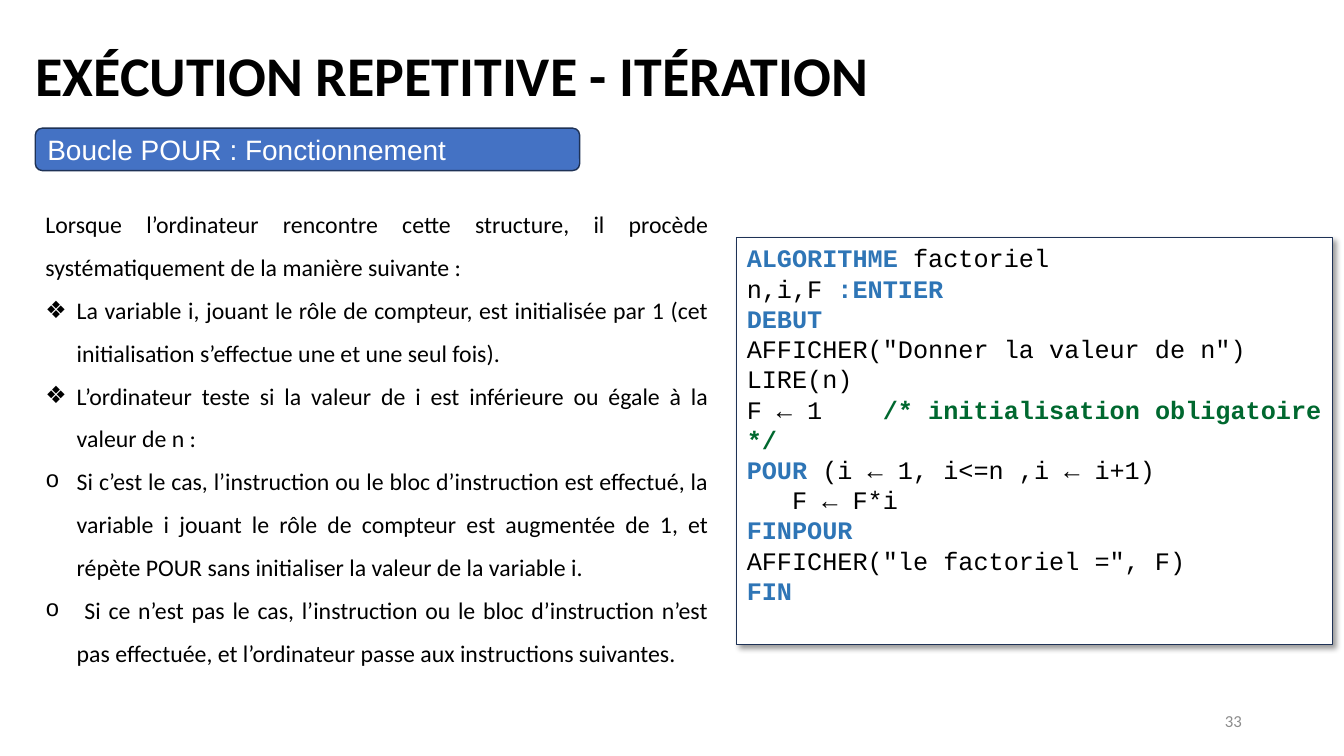
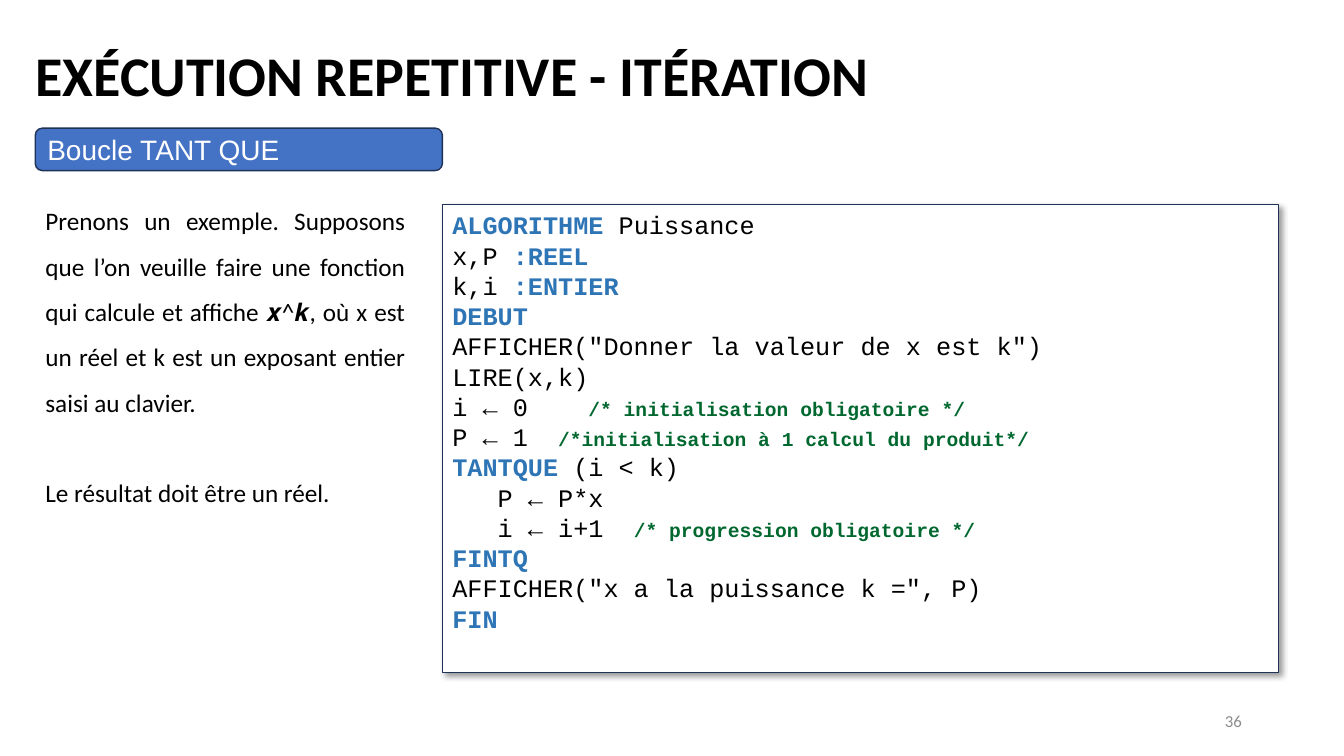
import pptx
import pptx.dml.color
import pptx.enum.shapes
import pptx.enum.text
import pptx.oxml.ns
import pptx.util
from lxml import etree

Cm = pptx.util.Cm
Pt = pptx.util.Pt
qn = pptx.oxml.ns.qn
Align = pptx.enum.text.PP_ALIGN
Anchor = pptx.enum.text.MSO_ANCHOR
Shape = pptx.enum.shapes.MSO_SHAPE

# Shared look
BLACK, WHITE, GREY = "000000", "FFFFFF", "8C8C8C"
BLUE, NAVY = "4472C4", "1E3256"
KEY, NOTE = "2E75B6", "00682F"
TITLE = "EXÉCUTION REPETITIVE - ITÉRATION"
LEFT = Cm(0.89)
INDENT = Cm(0.79)
BULLETS = {"❖": "Arial", "o": "Courier New"}


def tint(hue):
    return pptx.dml.color.RGBColor.from_string(hue)


def style(para, face, size, hue, bold=False):
    font = para.font
    font.name, font.size, font.bold = face, Pt(size), bold
    font.color.rgb = tint(hue)


# Body items: (bullet, text, space before); code lines: (text, colour) pieces
pages = [
    {
        "number": "33",
        "band": ("Boucle POUR : Fonctionnement", 13.72),
        "body": (4.8, 17.22, 12.14),
        "size": 17,
        "items": [
            ("", "Lorsque l’ordinateur rencontre cette structure, il procède "
                 "systématiquement de la manière suivante :", 0),
            ("❖", "La variable i, jouant le rôle de compteur, est initialisée par 1 "
                  "(cet initialisation s’effectue une et une seul fois).", 0),
            ("❖", "L’ordinateur teste si la valeur de i est inférieure ou égale à la "
                  "valeur de n :", 0),
            ("o", "Si c’est le cas, l’instruction ou le bloc d’instruction est effectué, "
                  "la variable i jouant le rôle de compteur est augmentée de 1, et "
                  "répète POUR sans initialiser la valeur de la variable i.", 0),
            ("o", " Si ce n’est pas le cas, l’instruction ou le bloc d’instruction n’est "
                  "pas effectuée, et l’ordinateur passe aux instructions suivantes.", 0),
        ],
        "box": (18.57, 5.99, 15.01, 10.26),
        "note": 18,
        "code": [
            [("ALGORITHME ", KEY), ("factoriel", BLACK)],
            [("n,i,F ", BLACK), (":ENTIER", KEY)],
            [("DEBUT", KEY)],
            [('AFFICHER("Donner la valeur de n")', BLACK)],
            [("LIRE(n)", BLACK)],
            [("F ← 1    ", BLACK), ("/* initialisation obligatoire */", NOTE)],
            [("POUR", KEY), (" (i ← 1, i<=n ,i ← i+1)", BLACK)],
            [("   F ← F*i", BLACK)],
            [("FINPOUR", KEY)],
            [('AFFICHER("le factoriel =", F)', BLACK)],
            [("FIN", KEY)],
        ],
    },
    {
        "number": "36",
        "band": ("Boucle TANT QUE", 10.26),
        "body": (4.67, 9.58, 8.2),
        "size": 18,
        "items": [
            ("", "Prenons un exemple. Supposons que l’on veuille faire une fonction "
                 "qui calcule et affiche 𝒙^𝒌, où x est un réel et k est un exposant "
                 "entier saisi au clavier.", 0),
            ("", "Le résultat doit être un réel.", 32.4),
        ],
        "box": (11.15, 5.16, 21.06, 11.79),
        "note": 14,
        "code": [
            [("ALGORITHME ", KEY), ("Puissance", BLACK)],
            [("x,P ", BLACK), (":REEL", KEY)],
            [("k,i ", BLACK), (":ENTIER", KEY)],
            [("DEBUT", KEY)],
            [('AFFICHER("Donner la valeur de x est k")', BLACK)],
            [("LIRE(x,k)", BLACK)],
            [("i ← 0    ", BLACK), ("/* initialisation obligatoire */", NOTE)],
            [("P ← 1  ", BLACK), ("/*initialisation à 1 calcul du produit*/", NOTE)],
            [("TANTQUE", KEY), (" (i < k)", BLACK)],
            [("   P ← P*x", BLACK)],
            [("   i ← i+1  ", BLACK), ("/* progression obligatoire */", NOTE)],
            [("FINTQ", KEY)],
            [('AFFICHER("x a la puissance k =", P)', BLACK)],
            [("FIN", KEY)],
        ],
    },
]

deck = pptx.Presentation()
deck.slide_width, deck.slide_height = Cm(33.87), Cm(19.05)

for page in pages:
    slide = deck.slides.add_slide(deck.slide_layouts[1])
    shapes = slide.shapes

    # Title
    title = shapes.title
    title.left, title.top, title.width, title.height = Cm(0.64), Cm(0.89), Cm(29.21), Cm(1.96)
    frame = title.text_frame
    frame.text = TITLE
    frame.vertical_anchor = Anchor.TOP
    frame.auto_size = pptx.enum.text.MSO_AUTO_SIZE.NONE
    frame.paragraphs[0].alignment = Align.LEFT
    style(frame.paragraphs[0], "Calibri", 40, BLACK, True)

    # Subtitle band
    text, width = page["band"]
    band = shapes.add_shape(Shape.ROUNDED_RECTANGLE, LEFT, Cm(3.23), Cm(width), Cm(1.07))
    band.shadow.inherit = False
    band.fill.solid()
    band.fill.fore_color.rgb = tint(BLUE)
    band.line.color.rgb = tint(NAVY)
    band.line.width = Pt(1)
    band.text_frame.text = text
    band.text_frame.paragraphs[0].alignment = Align.LEFT
    style(band.text_frame.paragraphs[0], "Arial", 20, WHITE)

    # Page number
    foot = shapes.add_textbox(Cm(23.93), Cm(17.65), Cm(7.62), Cm(1.02)).text_frame
    foot.word_wrap = True
    foot.vertical_anchor = Anchor.MIDDLE
    foot.text = page["number"]
    foot.paragraphs[0].alignment = Align.RIGHT
    style(foot.paragraphs[0], "Calibri", 12, GREY)

    # Explanation
    body = slide.placeholders[1]
    top, width, height = page["body"]
    body.left, body.top, body.width, body.height = LEFT, Cm(top), Cm(width), Cm(height)
    frame = body.text_frame
    frame.auto_size = pptx.enum.text.MSO_AUTO_SIZE.NONE
    for rank, (mark, text, gap) in enumerate(page["items"]):
        para = frame.add_paragraph() if rank else frame.paragraphs[0]
        para.text = text
        props = para._p.get_or_add_pPr()
        hang = INDENT if mark else 0
        props.set("marL", str(hang))
        props.set("indent", str(-hang))
        if mark:
            etree.SubElement(props, qn("a:buFont")).set("typeface", BULLETS[mark])
            etree.SubElement(props, qn("a:buChar")).set("char", mark)
        else:
            etree.SubElement(props, qn("a:buNone"))
        para.alignment = Align.JUSTIFY
        para.line_spacing = 1.5
        para.space_before = Pt(gap)
        style(para, "Calibri", page["size"], BLACK)

    # Code box with a soft shadow
    box = shapes.add_shape(Shape.RECTANGLE, *[Cm(n) for n in page["box"]])
    box.fill.solid()
    box.fill.fore_color.rgb = tint(WHITE)
    box.line.color.rgb = tint(NAVY)
    box.line.width = Pt(0.75)
    box.shadow.inherit = False
    glow = etree.SubElement(box._element.spPr.find(qn("a:effectLst")), qn("a:outerShdw"))
    for name, value in (("blurRad", Pt(4)), ("dist", Pt(3)), ("dir", 45 * 60000),
                        ("algn", "tl"), ("rotWithShape", 0)):
        glow.set(name, str(value))
    shade = etree.SubElement(glow, qn("a:srgbClr"), val=BLACK)
    etree.SubElement(shade, qn("a:alpha"), val="40000")

    frame = box.text_frame
    frame.word_wrap = True
    frame.vertical_anchor = Anchor.TOP
    for rank, line in enumerate(page["code"]):
        para = frame.add_paragraph() if rank else frame.paragraphs[0]
        para.alignment = Align.LEFT
        style(para, "Courier New", 18, BLACK)
        for text, hue in line:
            run = para.add_run()
            run.text = text
            if hue != BLACK:
                run.font.bold = True
                run.font.color.rgb = tint(hue)
            if hue == NOTE:
                run.font.size = Pt(page["note"])

deck.save("out.pptx")
